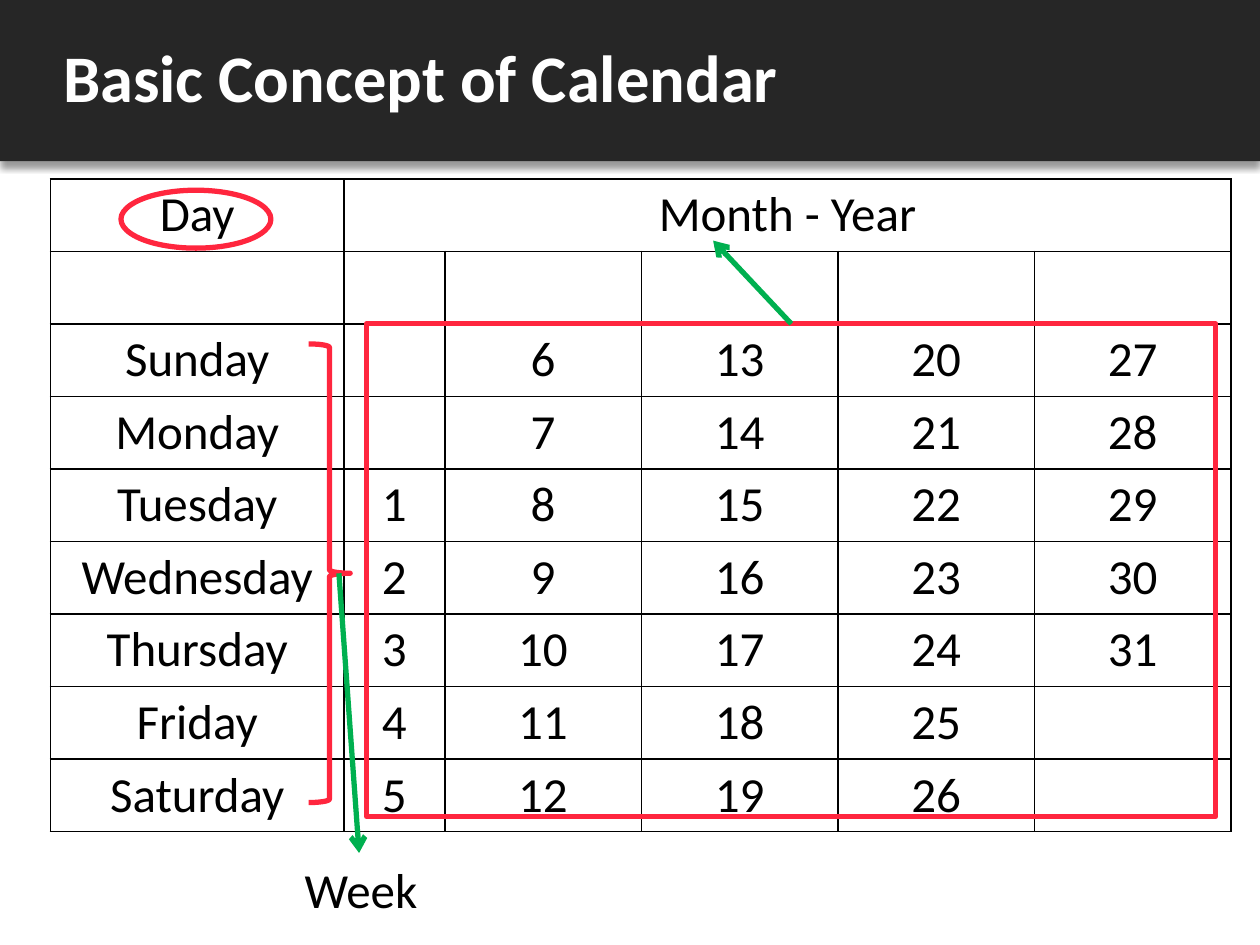
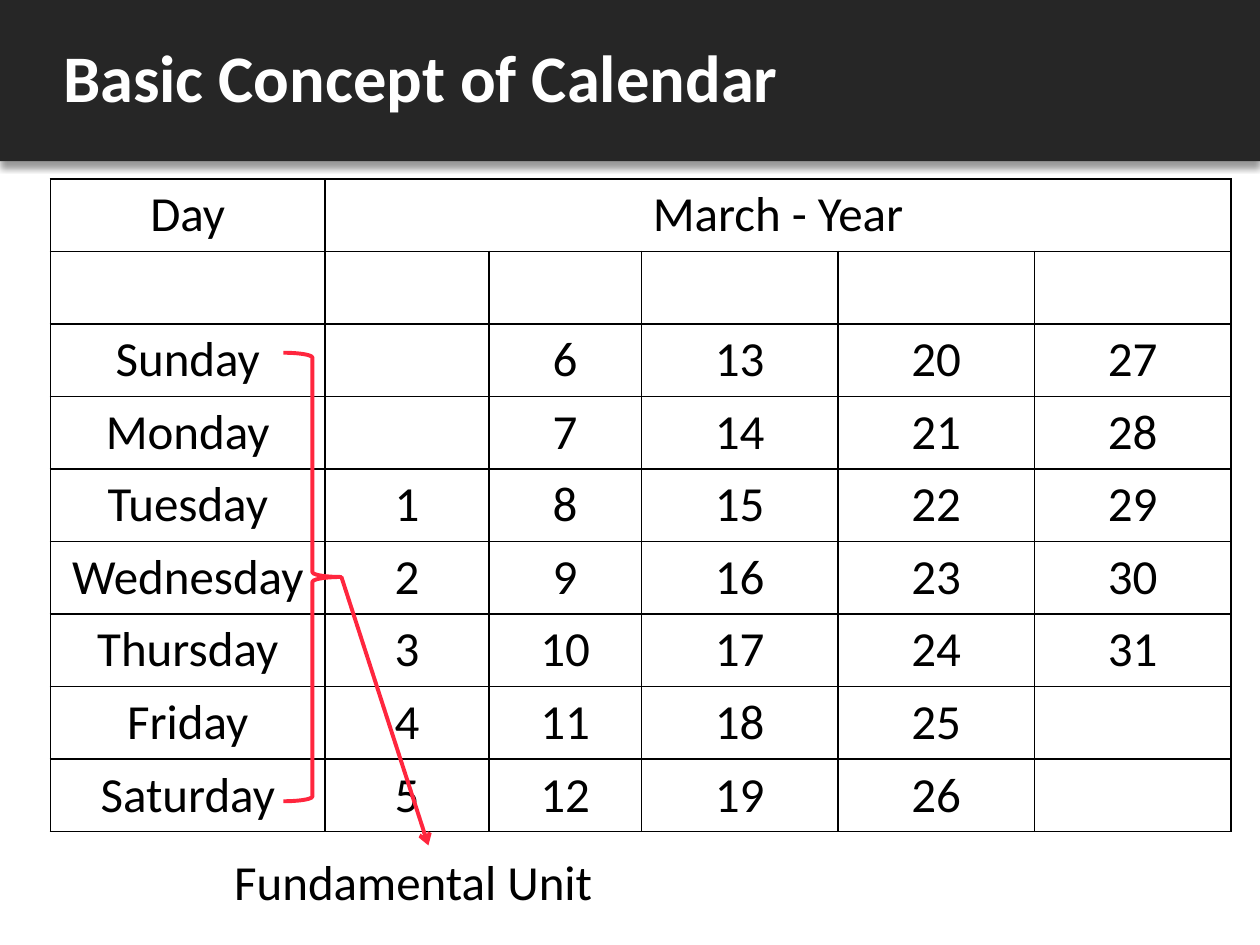
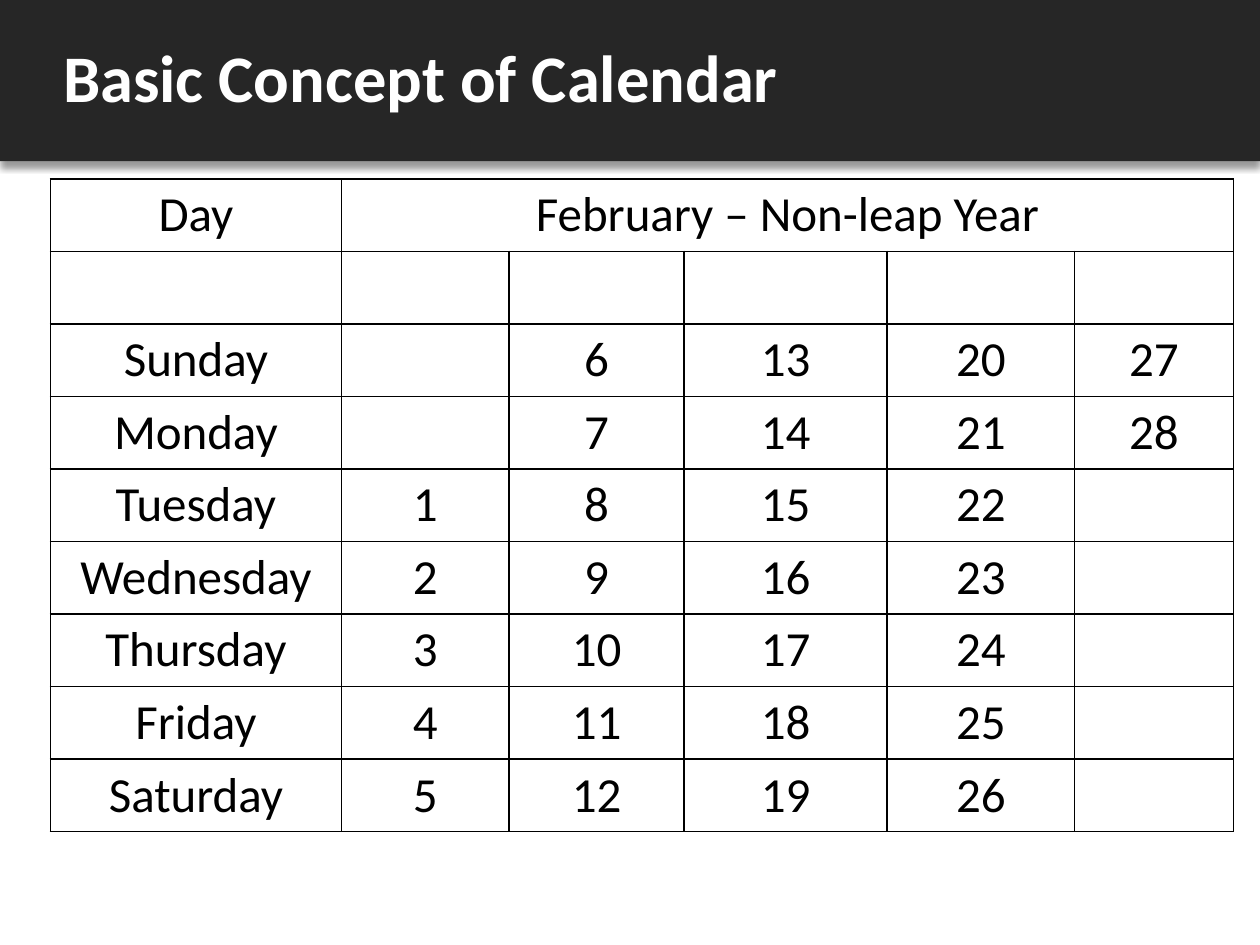
from dataclasses import dataclass

from pptx import Presentation
from pptx.dml.color import RGBColor
from pptx.enum.shapes import MSO_CONNECTOR, MSO_SHAPE
from pptx.enum.text import MSO_ANCHOR, MSO_AUTO_SIZE, PP_ALIGN
from pptx.oxml import parse_xml
from pptx.oxml.ns import nsdecls, qn
from pptx.slide import Slide, SlideLayout
from pptx.util import Inches, Pt

BLACK = RGBColor(0x00, 0x00, 0x00)
WHITE = RGBColor(0xFF, 0xFF, 0xFF)
CHARCOAL = RGBColor(0x26, 0x26, 0x26)
RED = RGBColor(0xFF, 0x26, 0x3E)
GREEN = RGBColor(0x00, 0xB0, 0x50)

LEFT, CENTER = PP_ALIGN.LEFT, PP_ALIGN.CENTER
MIDDLE = MSO_ANCHOR.MIDDLE
NO_FIT, GROW = MSO_AUTO_SIZE.NONE, MSO_AUTO_SIZE.SHAPE_TO_FIT_TEXT
RECTANGLE, OVAL, BRACE = MSO_SHAPE.RECTANGLE, MSO_SHAPE.OVAL, MSO_SHAPE.RIGHT_BRACE
STRAIGHT = MSO_CONNECTOR.STRAIGHT

FONT = "Calibri"
TITLE = "Basic Concept of Calendar"
WEEKDAYS = ("Sunday", "Monday", "Tuesday", "Wednesday", "Thursday", "Friday", "Saturday")
WEEKS = 5
FIRST_WEEKDAY = 2
HEADER_ROWS = 2
SLIDE_WIDTH, SLIDE_HEIGHT = Inches(10), Inches(7.5)
BAND_HEIGHT = Inches(1.28)
MARGIN = Inches(0.4)
TABLE_TOP, TABLE_HEIGHT = Inches(1.42), Inches(5.18)


@dataclass(frozen=True)
class Month:
    heading: str
    days: int
    widths: tuple[float, ...]


@dataclass(frozen=True)
class Outline:
    preset: MSO_SHAPE
    left: float
    top: float
    width: float
    height: float
    weight: float = 3

    def draw(self, slide: Slide) -> None:
        box = map(Inches, (self.left, self.top, self.width, self.height))
        s = slide.shapes.add_shape(self.preset, *box)
        s.shadow.inherit = False
        s.fill.background()
        s.line.color.rgb = RED
        s.line.width = Pt(self.weight)


@dataclass(frozen=True)
class Arrow:
    start: tuple[float, float]
    end: tuple[float, float]
    color: RGBColor = GREEN
    weight: float = 3

    def draw(self, slide: Slide) -> None:
        c = slide.shapes.add_connector(STRAIGHT, *map(Inches, self.start + self.end))
        c.line.color.rgb = self.color
        c.line.width = Pt(self.weight)
        sp_pr = c.element.spPr
        sp_pr.find(qn("a:ln")).append(parse_xml(f'<a:tailEnd {nsdecls("a")} type="arrow"/>'))
        sp_pr.append(parse_xml(f'<a:effectLst {nsdecls("a")}/>'))


@dataclass(frozen=True)
class Caption:
    text: str
    left: float
    top: float
    width: float

    def draw(self, slide: Slide) -> None:
        box = map(Inches, (self.left, self.top, self.width, 0.57))
        tf = slide.shapes.add_textbox(*box).text_frame
        tf.word_wrap = True
        tf.auto_size = GROW
        add_run(tf.paragraphs[0], self.text)


Mark = Outline | Arrow | Caption

CALENDARS: tuple[tuple[Month, tuple[Mark, ...]], ...] = (
    (
        Month("Month - Year", 31, (2.33, 0.8, 1.56, 1.56, 1.56, 1.56)),
        (
            Outline(OVAL, 0.96, 1.51, 1.19, 0.46),
            Outline(BRACE, 2.45, 2.73, 0.33, 3.64),
            Outline(RECTANGLE, 2.91, 2.57, 6.74, 3.91),
            Arrow((2.69, 4.55), (2.85, 6.77)),
            Caption("Week", 2.32, 6.77, 1.23),
            Arrow((6.28, 2.57), (5.66, 1.91)),
        ),
    ),
    (
        Month("March - Year", 31, (2.18, 1.3, 1.21, 1.56, 1.56, 1.56)),
        (
            Caption("Fundamental Unit", 1.76, 6.71, 3.29),
            Arrow((2.71, 4.58), (3.4, 6.71), RED, 2.25),
            Outline(BRACE, 2.25, 2.8, 0.46, 3.56, 2.25),
        ),
    ),
    (Month("February – Non-leap Year", 28, (2.31, 1.33, 1.39, 1.61, 1.49, 1.26)), ()),
)


def add_run(p, text: str, size: float = 28, color: RGBColor = BLACK, bold: bool = False) -> None:
    r = p.add_run()
    r.text = text
    r.font.name = FONT
    r.font.size = Pt(size)
    r.font.bold = bold
    r.font.color.rgb = color


def format_layout(layout: SlideLayout, slide: Slide) -> None:
    """Draw the band on the slide, then move it behind the layout's title."""
    band = slide.shapes.add_shape(RECTANGLE, 0, 0, SLIDE_WIDTH, BAND_HEIGHT)
    band.fill.solid()
    band.fill.fore_color.rgb = CHARCOAL
    band.line.fill.background()
    band.element.spPr.append(parse_xml(
        f'<a:effectLst {nsdecls("a")}>'
        f'<a:outerShdw blurRad="{Pt(4)}" dist="{Pt(3)}" dir="5400000" algn="t" rotWithShape="0">'
        f'<a:srgbClr val="{BLACK}"><a:alpha val="40000"/></a:srgbClr>'
        '</a:outerShdw></a:effectLst>'))
    layout.shapes.element.insert(2, band.element)
    title = layout.placeholders[0]
    title.left, title.top = MARGIN, 0
    title.width, title.height = SLIDE_WIDTH - MARGIN, BAND_HEIGHT


def add_title(slide: Slide) -> None:
    tf = slide.shapes.title.text_frame
    tf.vertical_anchor = MIDDLE
    tf.auto_size = NO_FIT
    p = tf.paragraphs[0]
    p.alignment = LEFT
    p.line_spacing = 0.9
    p.space_after = Pt(6)
    add_run(p, TITLE, 38, WHITE, bold=True)


def format_cell(cell) -> None:
    tc_pr = cell._tc.get_or_add_tcPr()
    for side in ("lnL", "lnR", "lnT", "lnB"):
        tc_pr.append(parse_xml(
            f'<a:{side} {nsdecls("a")} w="{Pt(1)}"><a:solidFill>'
            f'<a:srgbClr val="{BLACK}"/></a:solidFill></a:{side}>'))
    cell.fill.solid()
    cell.fill.fore_color.rgb = WHITE


def write_cell(cell, text: str) -> None:
    p = cell.text_frame.paragraphs[0]
    p.alignment = CENTER
    add_run(p, text)


def add_calendar(slide: Slide, month: Month) -> None:
    row_count = HEADER_ROWS + len(WEEKDAYS)
    table = slide.shapes.add_table(
        row_count, 1 + WEEKS, MARGIN, TABLE_TOP, Inches(sum(month.widths)), TABLE_HEIGHT).table
    table.first_row = table.horz_banding = False
    for column, width in zip(table.columns, month.widths):
        column.width = Inches(width)
    for row in table.rows:
        row.height = TABLE_HEIGHT // row_count
    for cell in table.iter_cells():
        format_cell(cell)

    table.cell(0, 1).merge(table.cell(0, WEEKS))
    write_cell(table.cell(0, 0), "Day")
    write_cell(table.cell(0, 1), month.heading)
    for i, weekday in enumerate(WEEKDAYS):
        row = HEADER_ROWS + i
        write_cell(table.cell(row, 0), weekday)
        for week in range(WEEKS):
            date = week * len(WEEKDAYS) + i - FIRST_WEEKDAY + 1
            if 1 <= date <= month.days:
                write_cell(table.cell(row, 1 + week), str(date))


def main() -> None:
    prs = Presentation()
    prs.slide_width, prs.slide_height = SLIDE_WIDTH, SLIDE_HEIGHT
    layout = prs.slide_layouts.get_by_name("Title Only")
    slides = [prs.slides.add_slide(layout) for _ in CALENDARS]
    format_layout(layout, slides[0])
    for slide, (month, marks) in zip(slides, CALENDARS):
        add_title(slide)
        add_calendar(slide, month)
        for mark in marks:
            mark.draw(slide)
    prs.save("out.pptx")


if __name__ == "__main__":
    main()
